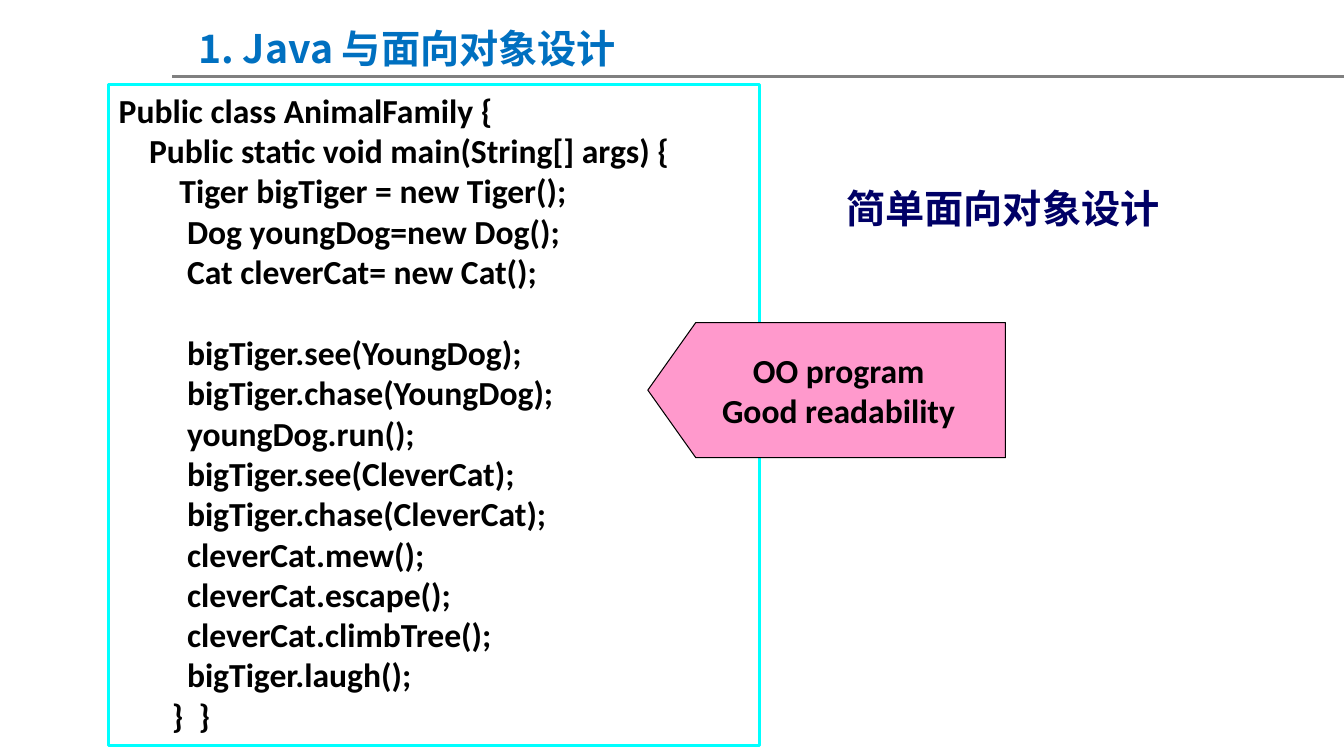
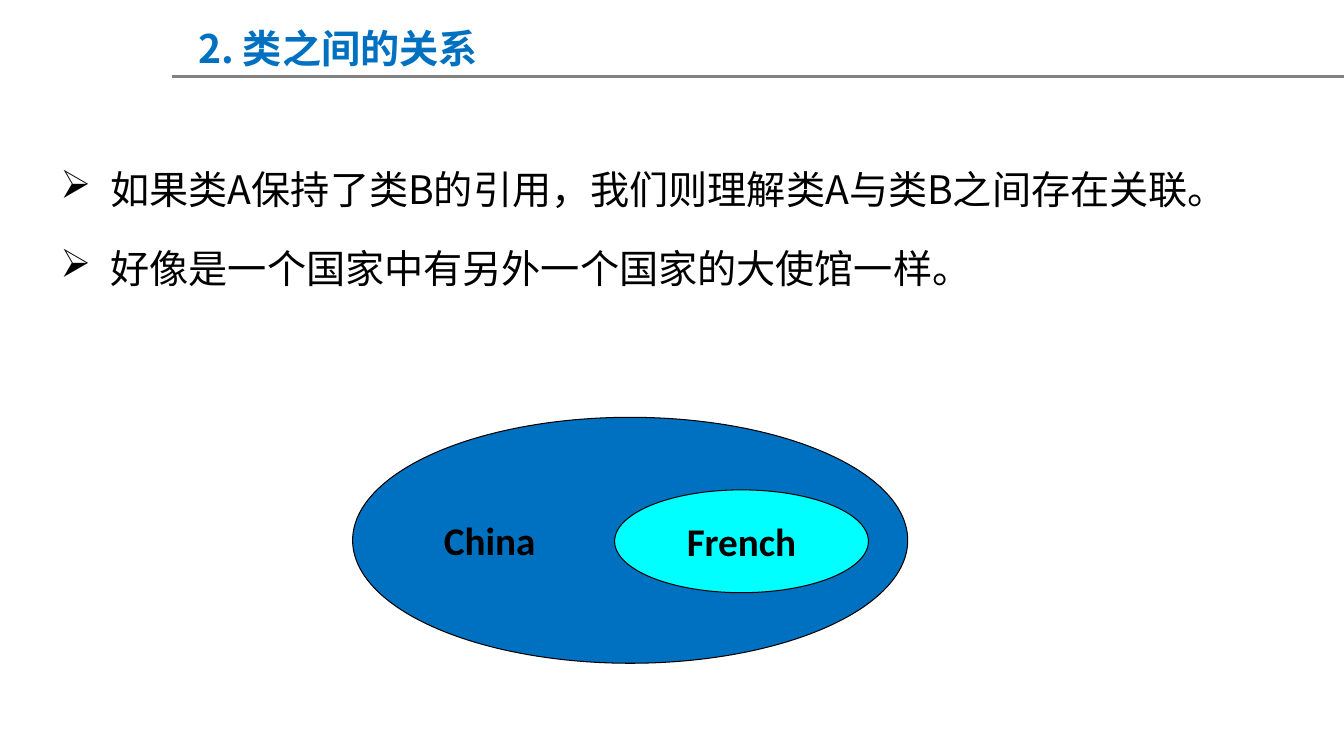
from lxml import etree
from pptx import Presentation
from pptx import util as u
from pptx.dml.color import RGBColor
from pptx.enum import shapes, text
from pptx.oxml import ns

SCALE = 9144
SLIDE_WIDTH, SLIDE_HEIGHT = 1334, 750
LATIN_FONT = "Calibri"
CHINESE_FONT = "Noto Sans CJK SC"
BLACK, WHITE, GRAY = "000000", "FFFFFF", "808080"
BLUE, CYAN, PINK, NAVY = "0070C0", "00FFFF", "FF99CC", "000066"
CODE_SIZE, TEXT_SIZE = 24, 28
CODE_LINE_HEIGHT = 29

CODE_BEFORE_GAP = """Public class AnimalFamily {
    Public static void main(String[] args) {
        Tiger bigTiger = new Tiger();
         Dog youngDog=new Dog();
         Cat cleverCat= new Cat();"""
CODE_AFTER_GAP = """         bigTiger.see(YoungDog);
         bigTiger.chase(YoungDog);
         youngDog.run();
         bigTiger.see(CleverCat);
         bigTiger.chase(CleverCat);
         cleverCat.mew();
         cleverCat.escape();
         cleverCat.climbTree();
         bigTiger.laugh();
       }  }"""


def px(*lengths):
    return [length * SCALE for length in lengths]


def color(hex_code):
    return RGBColor.from_string(hex_code)


def write(shape, content, size=TEXT_SIZE, font=LATIN_FONT, ink=BLACK, bold=True,
          align=text.PP_ALIGN.LEFT, anchor=text.MSO_ANCHOR.TOP, wrap=True):
    frame = shape.text_frame
    frame.text = content
    frame.word_wrap = wrap
    frame.vertical_anchor = anchor
    for paragraph in frame.paragraphs:
        paragraph.alignment = align
        for run in paragraph.runs:
            run.font.size = u.Pt(size)
            run.font.bold = bold
            run.font.name = font
            run.font.color.rgb = color(ink)
            east_asian = etree.Element(ns.qn("a:ea"), typeface=CHINESE_FONT)
            run.font._element.find(ns.qn("a:latin")).addnext(east_asian)
    return frame


def add_shape(slide, kind, box, fill, line=None, line_width=0.75):
    shape = slide.shapes.add_shape(kind, *px(*box))
    shape.shadow.inherit = False
    shape.fill.solid()
    shape.fill.fore_color.rgb = color(fill)
    if line:
        shape.line.color.rgb = color(line)
        shape.line.width = u.Pt(line_width)
    else:
        shape.line.fill.background()
    return shape


def add_text(slide, box, content, **style):
    return write(slide.shapes.add_textbox(*px(*box)), content, **style)


def add_bullets(slide, box, items):
    frame = add_text(slide, box, "\n".join(items), font=CHINESE_FONT, bold=False)
    for index, paragraph in enumerate(frame.paragraphs):
        properties = paragraph._p.get_or_add_pPr()
        properties.set("marL", str(50 * SCALE))
        properties.set("indent", str(-50 * SCALE))
        etree.SubElement(properties, ns.qn("a:buChar"), char="➢")
        paragraph.line_spacing = 1.5
        if index:
            paragraph.space_before = u.Pt(6)


def add_titled_slide(presentation, title):
    slide = presentation.slides.add_slide(presentation.slide_layouts[6])
    rule = slide.shapes.add_connector(
        shapes.MSO_CONNECTOR.STRAIGHT, *px(171, 76, SLIDE_WIDTH, 76))
    rule.line.color.rgb = color(GRAY)
    rule.line.width = u.Pt(2)
    etree.SubElement(rule._element.spPr, ns.qn("a:effectLst"))
    add_text(slide, (187, 19, 685, 57), title, font=CHINESE_FONT, ink=BLUE)
    return slide


def build_design_slide(presentation):
    slide = add_titled_slide(presentation, "1. Java 与面向对象设计")
    kinds = shapes.MSO_SHAPE
    center = text.PP_ALIGN.CENTER

    code_box = add_shape(slide, kinds.RECTANGLE, (108, 84, 646, 656), WHITE, CYAN, 2)
    code = write(code_box, CODE_BEFORE_GAP + "\n" + CODE_AFTER_GAP, CODE_SIZE)
    first_after_gap = len(CODE_BEFORE_GAP.splitlines())
    code.paragraphs[first_after_gap].space_before = u.Pt(CODE_LINE_HEIGHT)

    callout = add_shape(slide, kinds.PENTAGON, (643, 320, 355, 134), PINK, BLACK)
    callout.adjustments[0] = 0.355
    callout.rotation = 180
    frame = write(callout, "OO program\nGood readability", CODE_SIZE, align=center,
                  anchor=text.MSO_ANCHOR.MIDDLE, wrap=False)
    frame._txBody.bodyPr.set("rot", str(180 * 60000))

    label = add_shape(slide, kinds.RECTANGLE, (805, 178, 381, 57), WHITE)
    write(label, "简单面向对象设计", ink=NAVY, align=center)


def build_relation_slide(presentation):
    slide = add_titled_slide(presentation, "2. 类之间的关系")
    add_bullets(slide, (50, 136, 1184, 255), [
        "如果类A保持了类B的引用，我们则理解类A与类B之间存在关联。",
        "好像是一个国家中有另外一个国家的大使馆一样。",
    ])
    for name, box, fill, align in (
        ("China", (350, 414, 551, 244), BLUE, text.PP_ALIGN.LEFT),
        ("French", (610, 486, 252, 102), CYAN, text.PP_ALIGN.CENTER),
    ):
        ellipse = add_shape(slide, shapes.MSO_SHAPE.OVAL, box, fill, BLACK)
        write(ellipse, name, align=align, anchor=text.MSO_ANCHOR.MIDDLE, wrap=False)


def main():
    presentation = Presentation()
    presentation.slide_width, presentation.slide_height = px(SLIDE_WIDTH, SLIDE_HEIGHT)
    build_design_slide(presentation)
    build_relation_slide(presentation)
    presentation.save("out.pptx")


if __name__ == "__main__":
    main()
